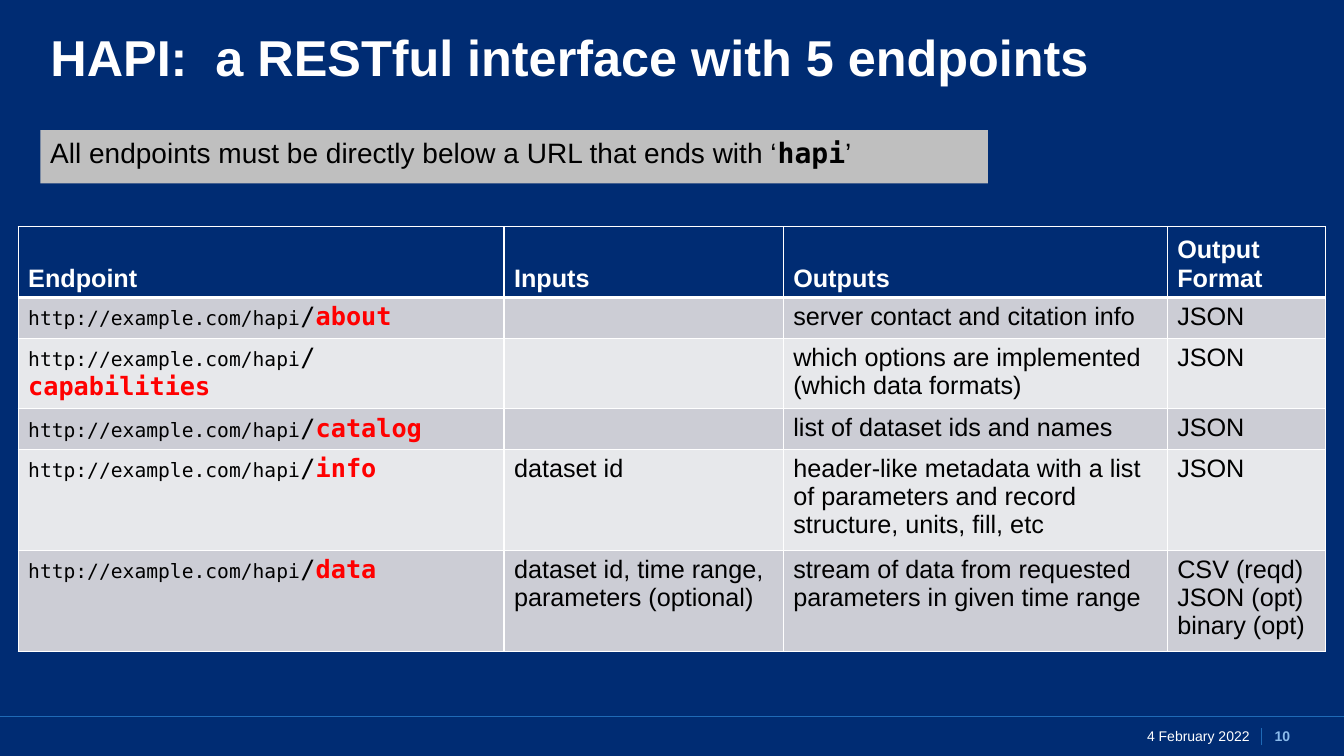
"""Build the slide on the five HAPI endpoints."""
from pptx import Presentation, util as u
from pptx.dml.color import RGBColor
from pptx.enum import shapes, text
from pptx.oxml import parse_xml
from pptx.oxml.ns import nsdecls

W, H = 13.33, 7.5
NAVY, WHITE, BLACK, RED = "002C73", "FFFFFF", "000000", "FF0000"
RULE, PALE, GREY = "1F6AB6", "8BBBEB", "BFBFBF"
BANDS = ["CCCDD5", "E7E8EB"]
SANS, MONO = "Arial", "DejaVu Sans Mono"
BODY = dict(size=18, name=SANS, color=BLACK)
HEAD = dict(BODY, color=WHITE, bold=True)
URL = dict(BODY, size=14, name=MONO)
SLASH = dict(URL, size=18)
WORD = dict(SLASH, color=RED, bold=True)

COLUMNS = [("Endpoint", 36.15), ("Inputs", 20.78), ("Outputs", 28.57), ("Output Format", 11.78)]
ENDPOINTS = [
    ("about", "", "server contact and citation info", "JSON"),
    ("capabilities", "", "which options are implemented (which data formats)", "JSON"),
    ("catalog", "", "list of dataset ids and names", "JSON"),
    ("info", "dataset id",
     "header-like metadata with a list of parameters and record structure, units, fill, etc", "JSON"),
    ("data", "dataset id, time range, parameters (optional)",
     "stream of data from requested parameters in given time range",
     "CSV (reqd)\nJSON (opt)\nbinary (opt)"),
]


def rgb(color):
    """Turn a hex string into a colour."""
    return RGBColor.from_string(color)


def across(share):
    """Give a percentage of the slide width as a length."""
    return u.Inches(W * share / 100)


def down(share):
    """Give a percentage of the slide height as a length."""
    return u.Inches(H * share / 100)


def place(x, y, w, h):
    """Turn percentages of the slide into left, top, width and height."""
    return across(x), down(y), across(w), down(h)


def paint(target, color):
    """Give a shape, cell or background a solid fill."""
    target.fill.solid()
    target.fill.fore_color.rgb = rgb(color)


def add_runs(p, runs):
    """Add runs of (words, format) to a paragraph."""
    for words, style in runs:
        r = p.add_run()
        r.text = words
        for key, value in style.items():
            if key == "color":
                r.font.color.rgb = rgb(value)
            else:
                setattr(r.font, key, u.Pt(value) if key == "size" else value)


def set_frame(tf, side, edge, anchor=text.MSO_ANCHOR.TOP):
    """Wrap a text frame and set its insets and anchor."""
    frame = dict(word_wrap=True, vertical_anchor=anchor,
                 margin_left=u.Inches(side), margin_right=u.Inches(side),
                 margin_top=u.Inches(edge), margin_bottom=u.Inches(edge))
    for key, value in frame.items():
        setattr(tf, key, value)


def add_label(s, box, words, style, side=0, anchor=text.MSO_ANCHOR.MIDDLE, **layout):
    """Add a one-paragraph text box."""
    tf = s.shapes.add_textbox(*place(*box)).text_frame
    set_frame(tf, side, 0, anchor)
    p = tf.paragraphs[0]
    for key, value in layout.items():
        setattr(p, key, value)
    add_runs(p, [(words, style)])


def add_banner(s, box, runs):
    """Add the grey box that states the URL rule."""
    sp = s.shapes.add_shape(shapes.MSO_SHAPE.RECTANGLE, *place(*box))
    sp.shadow.inherit = False
    paint(sp, GREY)
    sp.line.fill.background()
    set_frame(sp.text_frame, 0.1, 0.05)
    p = sp.text_frame.paragraphs[0]
    p.alignment = text.PP_ALIGN.LEFT
    p.space_before = u.Pt(10)
    add_runs(p, runs)


def add_rule(s, x1, y1, x2, y2):
    """Add a thin footer line."""
    line = s.shapes.add_connector(shapes.MSO_CONNECTOR.STRAIGHT,
                                  across(x1), down(y1), across(x2), down(y2))
    line.line.color.rgb = rgb(RULE)
    line.line.width = u.Pt(0.5)
    line._element.spPr.append(parse_xml(f"<a:effectLst {nsdecls('a')}/>"))


def fill_cell(cell, paragraphs, color, **borders):
    """Give a cell white borders, a fill and paragraphs of runs."""
    tcPr = cell._tc.get_or_add_tcPr()
    for side in "LRTB":
        tcPr.append(parse_xml(
            f'<a:ln{side} {nsdecls("a")} w="{u.Pt(borders.get(side, 1))}"><a:solidFill>'
            f'<a:srgbClr val="{WHITE}"/></a:solidFill></a:ln{side}>'))
    paint(cell, color)
    tf = cell.text_frame
    for i, runs in enumerate(paragraphs):
        p = tf.add_paragraph() if i else tf.paragraphs[0]
        p.font.size = u.Pt(18)
        add_runs(p, runs)


def add_endpoints(s, x, y, row_height):
    """Add the table of endpoints."""
    rows = len(ENDPOINTS) + 1
    width = sum(share for _, share in COLUMNS)
    table = s.shapes.add_table(rows, len(COLUMNS),
                               *place(x, y, width, rows * row_height)).table
    table.first_row = table.horz_banding = False
    for c, (heading, share) in enumerate(COLUMNS):
        table.columns[c].width = across(share)
        cell = table.cell(0, c)
        fill_cell(cell, [[(heading, HEAD)]], NAVY, B=3)
        cell.vertical_anchor = text.MSO_ANCHOR.BOTTOM
    for i, (endpoint, *details) in enumerate(ENDPOINTS):
        url = [("http://example.com/hapi", URL), ("/", SLASH), (endpoint, WORD)]
        plain = [[[(t, BODY)] if t else [] for t in d.split("\n")] for d in details]
        for c, paragraphs in enumerate([[url], *plain]):
            fill_cell(table.cell(i + 1, c), paragraphs, BANDS[i % 2], T=1 if i else 3)


def main():
    """Build and save the slide."""
    prs = Presentation()
    prs.slide_width, prs.slide_height = u.Inches(W), u.Inches(H)
    s = prs.slides.add_slide(prs.slide_layouts[6])
    paint(s.background, NAVY)
    add_rule(s, 0, 94.8, 100, 94.8)
    add_rule(s, 93.85, 96.27, 93.85, 98.53)
    add_label(s, (3.75, 4.4, 92.5, 11.07), "HAPI:  a RESTful interface with 5 endpoints",
              dict(HEAD, size=36), anchor=text.MSO_ANCHOR.TOP, line_spacing=0.9)
    small = dict(size=10, name=SANS, color=WHITE)
    add_label(s, (82.45, 94.8, 11.25, 5.2), "4 February 2022", small,
              side=0.1, alignment=text.PP_ALIGN.RIGHT)
    add_label(s, (93.92, 94.8, 3, 5.2), "10", dict(small, color=PALE, bold=True),
              alignment=text.PP_ALIGN.CENTER)
    note = dict(BODY, size=20)
    add_banner(s, (3, 17.2, 70.5, 7.07), [
        ("All endpoints must be directly below a URL that ends with ‘", note),
        ("hapi", dict(note, name=MONO, bold=True)), ("’", note)])
    add_endpoints(s, 1.35, 30, 5.4)
    prs.save("out.pptx")


if __name__ == "__main__":
    main()
